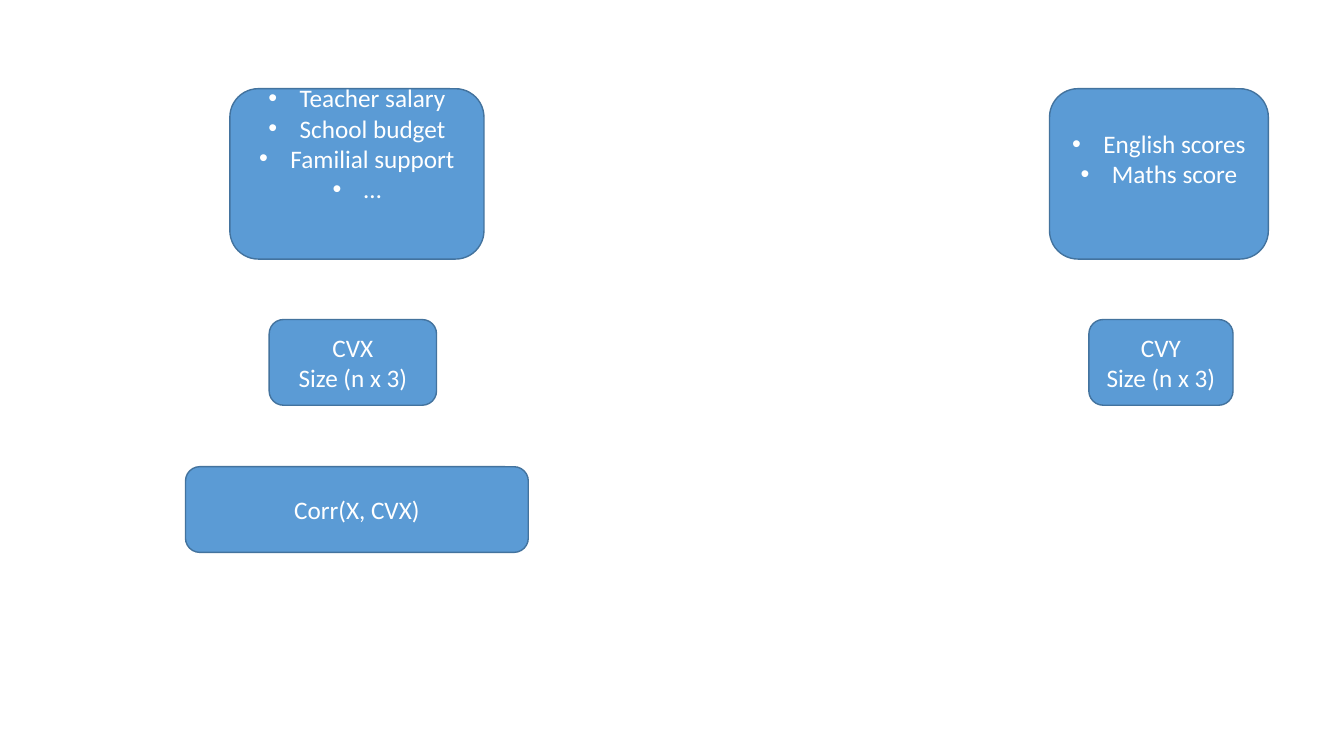
import pptx
import pptx.dml.color
import pptx.enum.shapes
import pptx.enum.text
import pptx.oxml
import pptx.oxml.ns
import pptx.util

Inches = pptx.util.Inches
Pt = pptx.util.Pt

INSET = 0.05
LINE_HEIGHT = 0.305  # one 18 pt line
BULLET_INDENT = 0.31


def color(hex_code):
    return pptx.dml.color.RGBColor.from_string(hex_code)


def add_bullet(p):
    pPr = p._p.get_or_add_pPr()
    pPr.set("marL", str(Inches(BULLET_INDENT)))
    pPr.set("indent", str(-Inches(BULLET_INDENT)))
    ns = pptx.oxml.ns.nsdecls("a")
    pPr.append(pptx.oxml.parse_xml(f'<a:buFont {ns} typeface="Arial"/>'))
    pPr.append(pptx.oxml.parse_xml(f'<a:buChar {ns} char="•"/>'))


def write_text(tf, lines, font="Calibri", size=18, ink="FFFFFF", bullets=False, lift=0):
    """Fill a frame with centred lines, raised by extra space below."""
    tf.word_wrap = True
    tf.vertical_anchor = pptx.enum.text.MSO_ANCHOR.MIDDLE
    tf.margin_top = Inches(INSET)
    tf.margin_bottom = Inches(INSET + lift)
    for i, line in enumerate(lines):
        p = tf.paragraphs[0] if i == 0 else tf.add_paragraph()
        p.alignment = pptx.enum.text.PP_ALIGN.CENTER
        if bullets:
            add_bullet(p)
        r = p.add_run()
        r.text = line
        r.font.name = font
        r.font.size = Pt(size)
        r.font.color.rgb = color(ink)


class Diagram:
    fill = "5B9BD5"
    outline = "43739E"

    def __init__(self, slide):
        self.s = slide

    def box(self, left, top, width, height, lines, **text_format):
        sp = self.s.shapes.add_shape(
            pptx.enum.shapes.MSO_SHAPE.ROUNDED_RECTANGLE,
            Inches(left), Inches(top), Inches(width), Inches(height))
        sp.shadow.inherit = False
        sp.fill.solid()
        sp.fill.fore_color.rgb = color(self.fill)
        sp.line.color.rgb = color(self.outline)
        sp.line.width = Pt(1)
        write_text(sp.text_frame, lines, **text_format)
        return sp


prs = pptx.Presentation()
prs.slide_width = Inches(13.33)
prs.slide_height = Inches(7.5)
diagram = Diagram(prs.slides.add_slide(prs.slide_layouts[6]))

# Variable sets
VARIABLES_TOP, VARIABLES_HEIGHT = 0.88, 1.69
variable_sets = [
    (2.28, 2.52, ["Teacher salary", "School budget", "Familial support", "…"], 2),
    (10.41, 2.17, ["English scores", "Maths score"], 1),
]
for left, width, lines, lines_below in variable_sets:
    diagram.box(left, VARIABLES_TOP, width, VARIABLES_HEIGHT, lines,
                bullets=True, lift=lines_below * LINE_HEIGHT)

# Canonical variates
VARIATES_TOP, ROW_HEIGHT = 3.17, 0.85
for left, width, name in [(2.67, 1.66, "CVX"), (10.8, 1.43, "CVY")]:
    diagram.box(left, VARIATES_TOP, width, ROW_HEIGHT, [name, "Size (n x 3)"])

# Correlation
diagram.box(1.84, 4.63, 3.4, ROW_HEIGHT, ["Corr(X, CVX)"])

prs.save("out.pptx")
